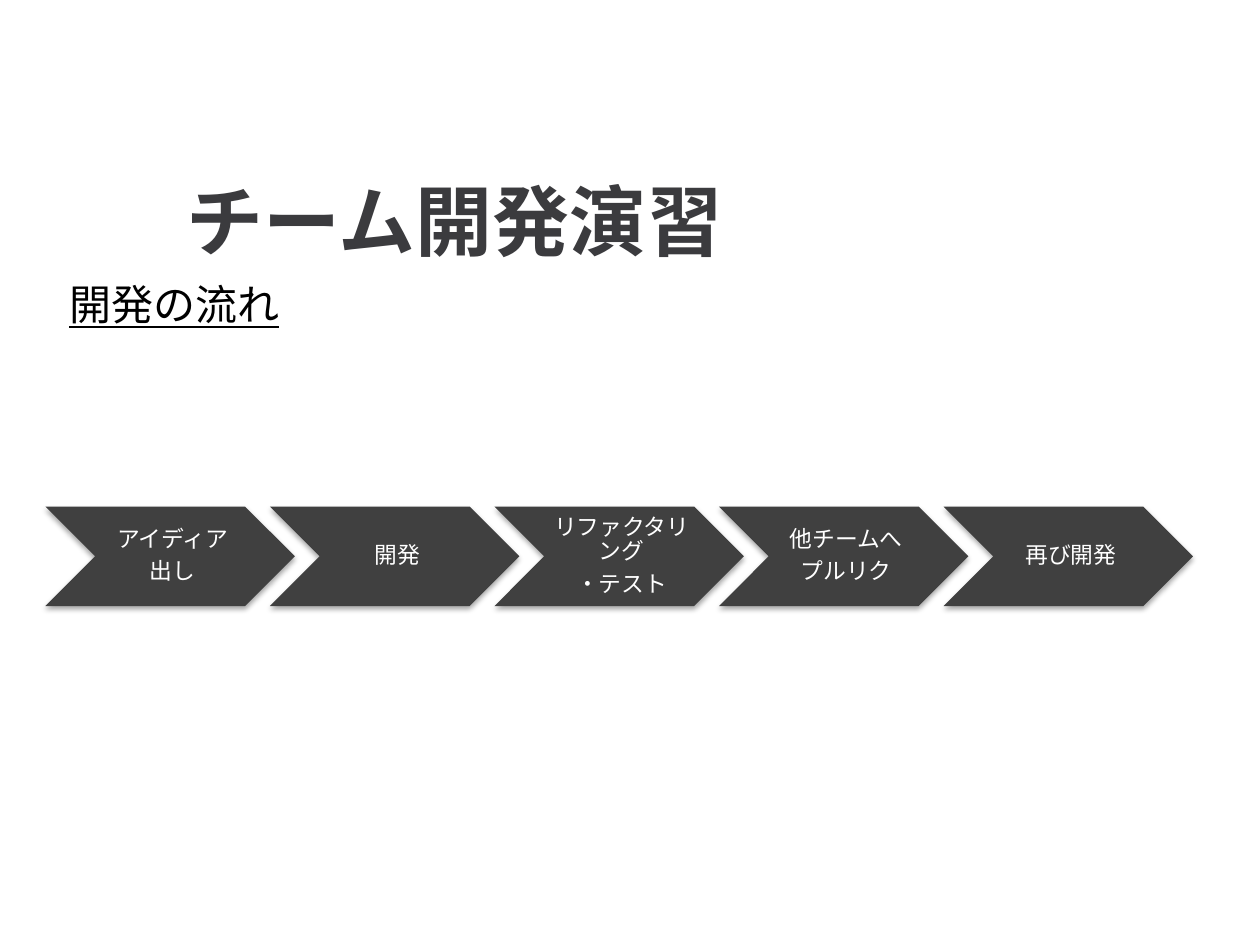
from lxml.etree import SubElement
from pptx import Presentation
from pptx.dml.color import RGBColor
from pptx.enum.shapes import MSO_SHAPE as Shape
from pptx.enum.text import MSO_ANCHOR as Anchor, PP_ALIGN as Align
from pptx.oxml import parse_xml
from pptx.oxml.ns import nsdecls, qn
from pptx.util import Inches, Pt

GOTHIC = "Noto Sans CJK JP"
SHADOW = (
    f'<a:effectLst {nsdecls("a")}>'
    '<a:outerShdw blurRad="39370" dist="22860" dir="5400000" rotWithShape="0">'
    '<a:srgbClr val="000000"><a:alpha val="35000"/></a:srgbClr>'
    '</a:outerShdw></a:effectLst>'
)


def color(value):
    return RGBColor.from_string(value)


def add_text(paragraph, text, size, latin, shade):
    run = paragraph.add_run()
    run.text = text
    run.font.size = Pt(size)
    run.font.name = latin
    run.font.color.rgb = color(shade)
    SubElement(run.font._element, qn("a:ea")).set("typeface", GOTHIC)
    return run


deck = Presentation()
deck.slide_width, deck.slide_height = Inches(10), Inches(7.5)
slide = deck.slides.add_slide(deck.slide_layouts[5])

title = slide.shapes.title
title.left, title.top = Inches(1.44), Inches(1.08)
title.width, title.height = Inches(7.12), Inches(1.32)
heading = slide.shapes.add_textbox(Inches(0.51), Inches(2.25), Inches(9), Inches(4.84))

for box, anchor in ((title, Anchor.MIDDLE), (heading, Anchor.TOP)):
    frame = box.text_frame
    frame.word_wrap = True
    frame.vertical_anchor = anchor
    frame.margin_left = frame.margin_right = Inches(0.04)
    frame.margin_top = frame.margin_bottom = Inches(0.04)
    frame.paragraphs[0].alignment = Align.LEFT

add_text(title.text_frame.paragraphs[0], "チーム開発演習", 44, GOTHIC, "3B3B3E").font.bold = True
heading_line = heading.text_frame.paragraphs[0]
heading_line.line_spacing = 0.8
add_text(heading_line, "開発の流れ", 24, GOTHIC, "000000").font.underline = True

steps = [
    ["アイディア", "出し"],
    ["開発"],
    ["リファクタリング", "・テスト"],
    ["他チームへ", "プルリク"],
    ["再び開発"],
]
step_width = Inches(1.98)
step_pitch = step_width * 0.9

for column, lines in enumerate(steps):
    step = slide.shapes.add_shape(
        Shape.CHEVRON, int(Inches(0.36) + column * step_pitch), Inches(4.02),
        step_width, Inches(0.79))
    step.fill.solid()
    step.fill.fore_color.rgb = color("404040")
    step.line.fill.background()
    step._element.spPr.append(parse_xml(SHADOW))
    frame = step.text_frame
    frame.word_wrap = True
    frame.vertical_anchor = Anchor.MIDDLE
    frame.margin_left = Inches(0.06)
    frame.margin_right = frame.margin_top = frame.margin_bottom = Inches(0.02)
    for row, line in enumerate(lines):
        paragraph = frame.add_paragraph() if row else frame.paragraphs[0]
        paragraph.alignment = Align.CENTER
        paragraph.line_spacing = 0.9
        paragraph.space_after = Pt(4.55)
        add_text(paragraph, line, 13, "Comic Neue", "FFFFFF")

deck.save("out.pptx")
